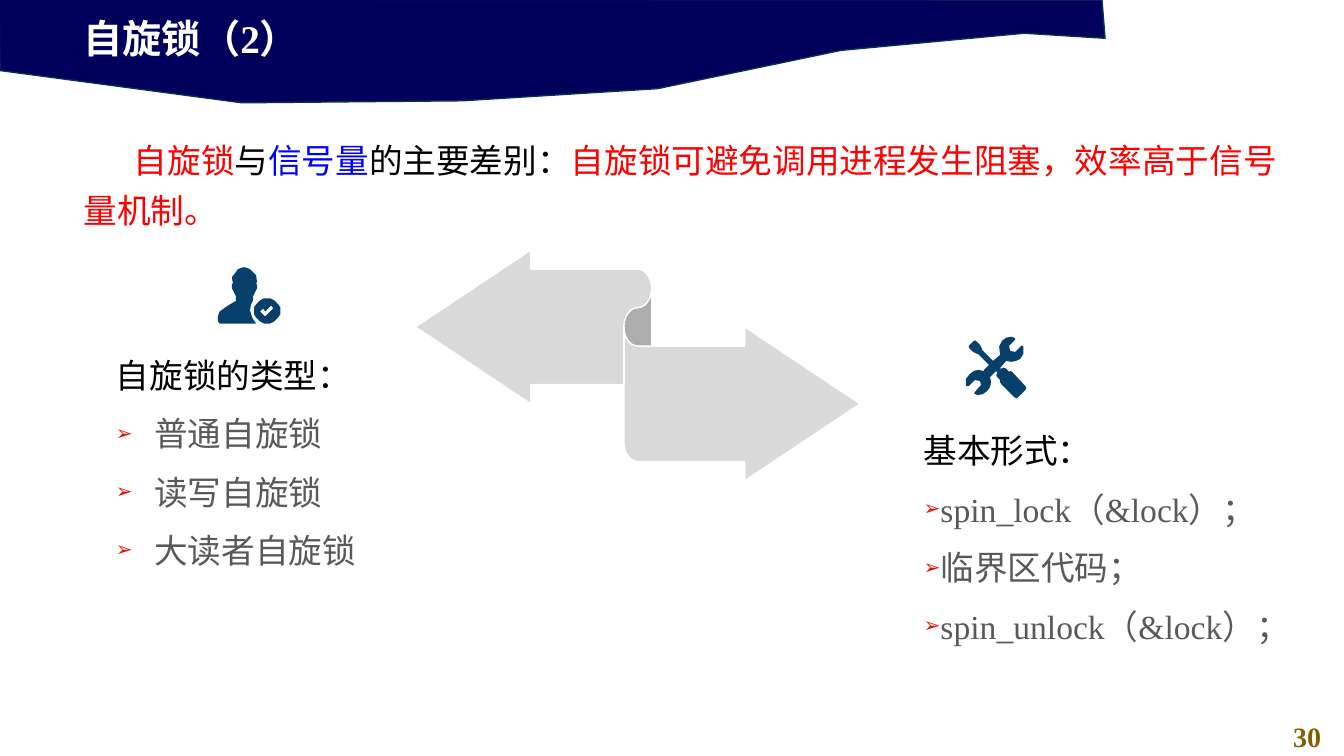
from dataclasses import dataclass
from math import cos, pi, sin

from lxml.etree import SubElement
from pptx import Presentation
from pptx.dml.color import RGBColor
from pptx.enum.shapes import MSO_SHAPE
from pptx.enum.text import MSO_ANCHOR, MSO_AUTO_SIZE, PP_ALIGN
from pptx.oxml.ns import qn
from pptx.util import Pt

PX = 9144  # 100 px to the inch
FONT = "Times New Roman"
COLORS = {
    "navy": "00005C", "edge": "05304F", "icon": "07416B", "ribbon": "D9D9D9",
    "white": "FFFFFF", "black": "000000", "grey": "595959", "red": "FF0000",
    "blue": "0000FF", "bullet": "E71101", "gold": "806000",
}
FRAME = {"word_wrap": True, "auto_size": MSO_AUTO_SIZE.NONE,
         "vertical_anchor": MSO_ANCHOR.TOP}

Box = tuple[int, int, int, int]
Contour = list[tuple[int, int]]


@dataclass
class Run:
    text: str
    color: str
    size: int = 24
    bold: bool = False


@dataclass
class BulletList:
    box: Box
    heading: str
    items: list[str]
    margin: int


@dataclass
class Outline:
    contours: list[Contour]
    fill: str
    line: str | None = None


LISTS = [
    BulletList((105, 334, 441, 189), "自旋锁的类型：",
               ["普通自旋锁", "读写自旋锁", "大读者自旋锁"], 38),
    BulletList((906, 409, 387, 252), "基本形式：",
               ["spin_lock（&lock）；", "临界区代码；", "spin_unlock（&lock）；"], 0),
]
INTRO = [
    Run("自旋锁", "red"), Run("与", "black"), Run("信号量", "blue"),
    Run("的主要差别：", "black"),
    Run("自旋锁可避免调用进程发生阻塞，效率高于信号量机制。", "red"),
]

BANNER = Outline([[
    (-1, -1), (0, 70), (240, 102), (459, 100), (652, 88), (834, 50),
    (1016, 33), (1096, 38), (1093, 0)]], "navy", "edge")

BADGE = [(round(265 + 13 * cos(i * pi / 12)), round(308.5 + 12.5 * sin(i * pi / 12)))
         for i in range(24)]
CHECK = [(269, 303), (263, 309), (261, 306), (258, 309), (263, 314), (271, 306)]
PERSON = [
    (242, 265), (248, 267), (251, 270), (254, 273), (255, 280), (254, 281),
    (255, 283), (255, 286), (253, 290), (251, 294), (251, 298), (249, 302),
    (248, 308), (250, 315), (254, 321), (218, 321), (216, 319), (216, 314),
    (218, 309), (225, 304), (233, 299), (234, 299), (234, 294), (232, 290),
    (230, 286), (230, 282), (231, 281), (230, 275), (234, 270), (236, 267),
    (239, 266)]
TOOLS = [
    (1017, 383), (1004, 369), (1002, 368), (1001, 369), (997, 365), (994, 365),
    (993, 366), (992, 365), (998, 358), (1003, 359), (1008, 358), (1012, 356),
    (1015, 351), (1015, 344), (1014, 343), (1013, 343), (1007, 349), (1006, 349),
    (1002, 348), (1001, 344), (1001, 343), (1007, 337), (1007, 336), (1006, 335),
    (1003, 334), (998, 335), (994, 338), (991, 344), (992, 352), (985, 358),
    (974, 347), (974, 346), (972, 342), (968, 338), (966, 338), (961, 343),
    (961, 345), (965, 349), (969, 351), (970, 351), (981, 362), (976, 367),
    (976, 368), (970, 367), (966, 368), (962, 371), (958, 376), (958, 383),
    (960, 383), (961, 383), (967, 377), (972, 378), (973, 382), (972, 383),
    (967, 389), (966, 390), (967, 391), (970, 392), (975, 391), (979, 388),
    (982, 384), (983, 379), (982, 374), (988, 368), (989, 370), (989, 371),
    (988, 372), (989, 374), (992, 377), (992, 379), (993, 381), (1006, 394),
    (1008, 395), (1010, 394), (1017, 387), (1018, 385)]
ICONS = [Outline([PERSON, BADGE, CHECK], "icon"), Outline([TOOLS], "icon")]


def rgb(name: str) -> RGBColor:
    return RGBColor.from_string(COLORS[name])


def paint(sp, fill: str, line: str | None) -> None:
    sp.shadow.inherit = False
    sp.fill.solid()
    sp.fill.fore_color.rgb = rgb(fill)
    if line:
        sp.line.color.rgb = rgb(line)
        sp.line.width = Pt(1)
    else:
        sp.line.fill.background()


def draw_outline(s, outline: Outline):
    first, *rest = outline.contours
    builder = s.shapes.build_freeform(*first[0], scale=PX)
    builder.add_line_segments(first[1:], close=True)
    for contour in rest:
        builder.move_to(*contour[0])
        builder.add_line_segments(contour[1:], close=True)
    sp = builder.convert_to_shape()
    paint(sp, outline.fill, outline.line)
    return sp


def prepare(sp, box: Box):
    """Place a text shape and return its formatted frame."""
    for name, value in zip(("left", "top", "width", "height"), box):
        setattr(sp, name, value * PX)
    for name, value in FRAME.items():
        setattr(sp.text_frame, name, value)
    return sp.text_frame


def add_text_box(s, box: Box):
    return prepare(s.shapes.add_textbox(0, 0, 0, 0), box)


def write(p, runs: list[Run], **paragraph_format) -> None:
    for name, value in paragraph_format.items():
        setattr(p, name, value)
    for run in runs:
        r = p.add_run()
        r.text = run.text
        formats = {"name": FONT, "size": Pt(run.size), "bold": run.bold}
        for name, value in formats.items():
            setattr(r.font, name, value)
        r.font.color.rgb = rgb(run.color)


def set_indent(p, margin: int, first: int, bullet: bool = False) -> None:
    pPr = p._p.get_or_add_pPr()
    pPr.set("marL", str(margin * PX))
    pPr.set("indent", str(first * PX))
    if bullet:
        color = SubElement(pPr, qn("a:buClr"))
        SubElement(color, qn("a:srgbClr"), val=COLORS["bullet"])
        SubElement(pPr, qn("a:buSzPct"), val="60000")
        SubElement(pPr, qn("a:buChar"), char="➢")
    else:
        SubElement(pPr, qn("a:buNone"))


def fill_list(sp, content: BulletList) -> None:
    tf = prepare(sp, content.box)
    p = tf.paragraphs[0]
    set_indent(p, 0, 0)
    write(p, [Run(content.heading, "black")], line_spacing=1.32, space_before=Pt(0))
    for item in content.items:
        p = tf.add_paragraph()
        set_indent(p, content.margin, -38, bullet=True)
        write(p, [Run(item, "grey")], level=1, line_spacing=1.32, space_before=Pt(3.7))


def main() -> None:
    prs = Presentation()
    prs.slide_width, prs.slide_height = 1333 * PX, 750 * PX
    s = prs.slides.add_slide(prs.slide_layouts.get_by_name("Two Content"))
    title, *bodies = s.placeholders

    banner = draw_outline(s, BANNER).element
    banner.getparent().insert(2, banner)  # behind the title

    tf = prepare(title, (73, 9, 768, 57))
    write(tf.paragraphs[0], [Run("自旋锁（2）", "white", 28, True)], alignment=PP_ALIGN.LEFT)
    for sp, content in zip(bodies, LISTS):
        fill_list(sp, content)

    p = add_text_box(s, (73, 125, 1220, 123)).paragraphs[0]
    set_indent(p, 0, 50)
    write(p, INTRO, line_spacing=1.23)
    p = add_text_box(s, (1260, 709, 73, 44)).paragraphs[0]
    write(p, [Run("30", "gold", 20, True)], alignment=PP_ALIGN.CENTER)

    for icon in ICONS:
        draw_outline(s, icon)
    ribbon = s.shapes.add_shape(
        MSO_SHAPE.LEFT_RIGHT_RIBBON, *(v * PX for v in (412, 248, 441, 229)))
    for i, value in enumerate((0.5, 0.5, 0.333)):
        ribbon.adjustments[i] = value
    paint(ribbon, "ribbon", "white")
    prs.save("out.pptx")


if __name__ == "__main__":
    main()
